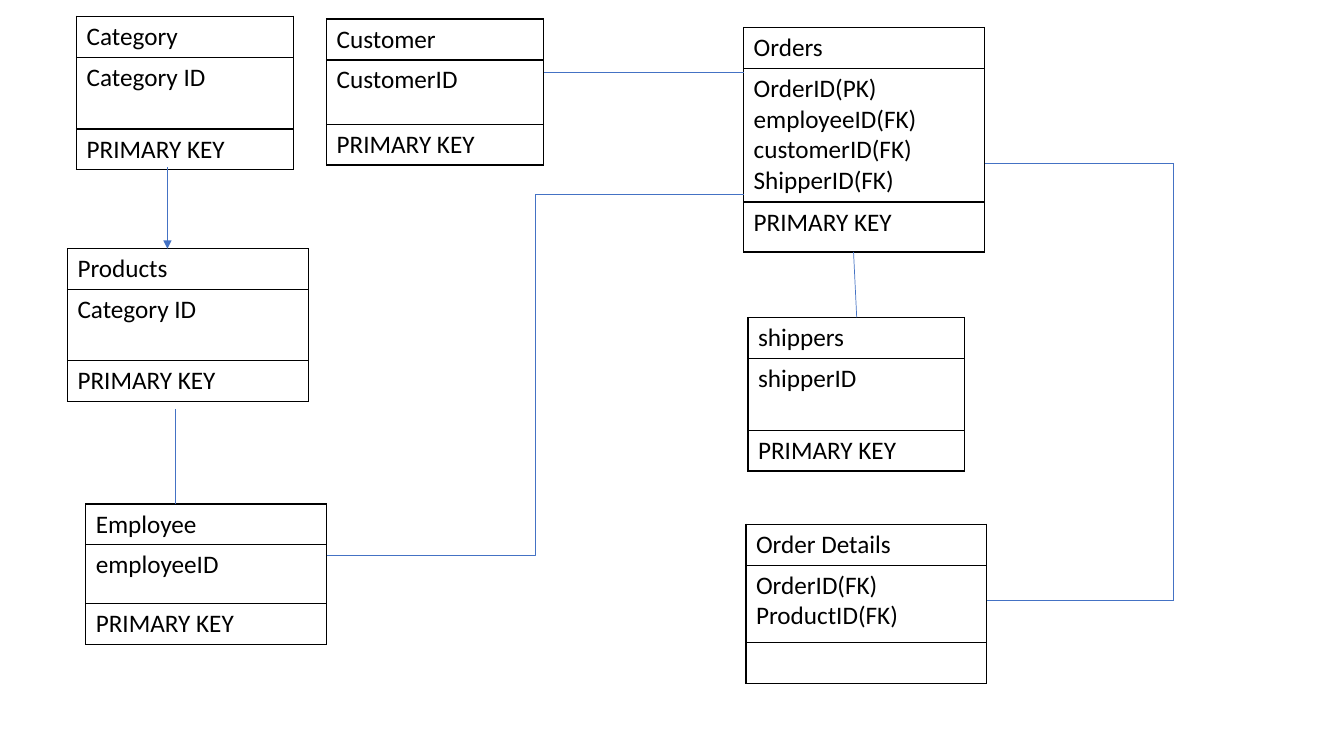
from itertools import pairwise
from pptx import Presentation
from pptx.dml.color import RGBColor
from pptx.enum.shapes import MSO_CONNECTOR
from pptx.oxml import parse_xml
from pptx.oxml.ns import nsdecls
from pptx.util import Cm, Pt

BLACK = RGBColor(0, 0, 0)
BLUE = RGBColor(0x44, 0x72, 0xC4)
ROW = 1.03
KEY = "PRIMARY KEY"

# name, left, top, width, fields, height of fields, key text, height of key
TABLES = [
    ("Category", 1.93, 0.41, 5.46, ["Category ID"], 1.81, KEY, ROW),
    ("Customer", 8.23, 0.48, 5.46, ["CustomerID"], 1.62, KEY, ROW),
    ("Products", 1.7, 6.27, 6.07, ["Category ID"], 1.79, KEY, ROW),
    ("shippers", 18.85, 8, 5.46, ["shipperID"], 1.81, KEY, ROW),
    ("Employee", 2.16, 12.7, 6.07, ["employeeID"], 1.48, KEY, ROW),
    ("Order Details", 18.8, 13.21, 6.07,
     ["OrderID(FK)", "ProductID(FK)"], 1.96, "", ROW),
    ("Orders", 18.74, 0.69, 6.07,
     ["OrderID(PK)", "employeeID(FK)", "customerID(FK)", "ShipperID(FK)"],
     3.37, KEY, 1.26),
]


def write(frame, lines, size=18, font="Calibri", color=BLACK):
    for i, line in enumerate(lines):
        para = frame.paragraphs[0] if i == 0 else frame.add_paragraph()
        if line:
            run = para.add_run()
            run.text = line
            run.font.size = Pt(size)
            run.font.name = font
            run.font.color.rgb = color


def border(cell, color=BLACK, width=1):
    props = cell._tc.get_or_add_tcPr()
    for i, side in enumerate("LRTB"):
        props.insert(i, parse_xml(
            f'<a:ln{side} {nsdecls("a")} w="{Pt(width)}"><a:solidFill>'
            f'<a:srgbClr val="{color}"/></a:solidFill></a:ln{side}>'))


def entity(slide, name, left, top, width, fields, body, key, foot):
    """Place one entity table: name, fields and key."""
    highs = [ROW, body, foot]
    table = slide.shapes.add_table(
        3, 1, Cm(left), Cm(top), Cm(width), Cm(sum(highs))).table
    table.first_row = table.horz_banding = False
    for i, (lines, high) in enumerate(zip([[name], fields, [key]], highs)):
        table.rows[i].height = Cm(high)
        cell = table.cell(i, 0)
        cell.fill.background()
        border(cell)
        write(cell.text_frame, lines)


def link(slide, start, end, kind=MSO_CONNECTOR.STRAIGHT, arrow=False):
    line = slide.shapes.add_connector(
        kind, *[Cm(value) for value in (*start, *end)])
    line.line.color.rgb = BLUE
    line.line.width = Pt(0.5)
    if arrow:
        line.line._get_or_add_ln().append(
            parse_xml(f'<a:tailEnd {nsdecls("a")} type="triangle"/>'))
    line._element.spPr.append(parse_xml(f'<a:effectLst {nsdecls("a")}/>'))


def links(slide):
    """Draw the relations between the entities."""
    link(slide, (4.22, 4.22), (4.22, 6.27), arrow=True)
    link(slide, (4.42, 10.31), (4.42, 12.7))
    link(slide, (13.72, 1.83), (18.74, 1.83))
    link(slide, (8.23, 14), (18.74, 4.9), kind=MSO_CONNECTOR.ELBOW)
    link(slide, (21.51, 6.35), (21.59, 8))
    # Order Details round the right side to Orders
    route = [(24.87, 15.14), (29.57, 15.14), (29.57, 4.11), (24.82, 4.11)]
    for start, end in pairwise(route):
        link(slide, start, end)


def main():
    deck = Presentation()
    deck.slide_width, deck.slide_height = Cm(33.87), Cm(19.05)
    slide = deck.slides.add_slide(deck.slide_layouts[6])
    for item in TABLES:
        entity(slide, *item)
    links(slide)
    deck.save("out.pptx")


if __name__ == "__main__":
    main()
